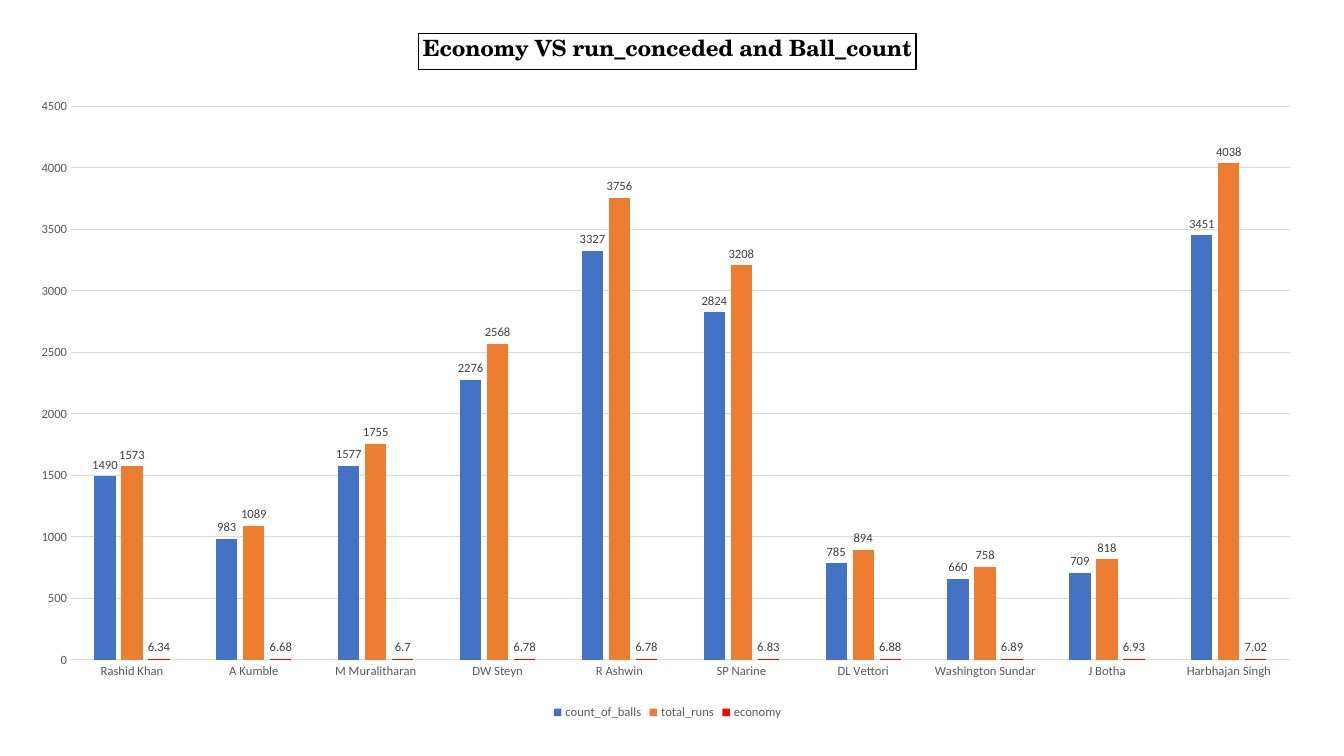
from lxml import etree
from pptx import Presentation
from pptx.chart.data import CategoryChartData
from pptx.dml.color import RGBColor
from pptx.enum.chart import XL_CHART_TYPE, XL_LABEL_POSITION, XL_LEGEND_POSITION, XL_TICK_MARK
from pptx.oxml.ns import qn
from pptx.util import Inches, Pt

COLUMN = XL_CHART_TYPE.COLUMN_CLUSTERED
ABOVE = XL_LABEL_POSITION.OUTSIDE_END
BOTTOM = XL_LEGEND_POSITION.BOTTOM
NO_TICK = XL_TICK_MARK.NONE

COLORS = {
    "count_of_balls": "4472C4",
    "total_runs": "ED7D31",
    "economy": "FF0000",
    "black": "000000",
    "label": "404040",
    "axis": "595959",
    "grid": "D9D9D9",
    "back": "FFFFFF",
}
BOWLERS = [
    "Rashid Khan", "A Kumble", "M Muralitharan", "DW Steyn", "R Ashwin",
    "SP Narine", "DL Vettori", "Washington Sundar", "J Botha", "Harbhajan Singh",
]
STATS = {
    "count_of_balls": [1490, 983, 1577, 2276, 3327, 2824, 785, 660, 709, 3451],
    "total_runs": [1573, 1089, 1755, 2568, 3756, 3208, 894, 758, 818, 4038],
    "economy": [6.34, 6.68, 6.7, 6.78, 6.78, 6.83, 6.88, 6.89, 6.93, 7.02],
}
PLOT = {"x": 0.04, "y": 0.13, "w": 0.94, "h": 0.78}


def rgb(name):
    return RGBColor.from_string(COLORS[name])


def assign(target, **values):
    for key, value in values.items():
        setattr(target, key, value)


def style_font(font, color, size=9, name="Calibri", bold=False):
    assign(font, size=Pt(size), name=name, bold=bold)
    font.color.rgb = rgb(color)


def style_line(line, color):
    line.color.rgb = rgb(color)
    line.width = Pt(0.75)


def add_stats(slide):
    data = CategoryChartData()
    data.categories = BOWLERS
    for name, values in STATS.items():
        data.add_series(name, values)
    frame = slide.shapes.add_chart(
        COLUMN, Inches(0.19), Inches(0.14), Inches(12.86), Inches(7.04), data)
    style_font(frame.chart.font, "black", 10)
    return frame.chart


def add_title(chart, text):
    title = chart.chart_title
    title.include_in_layout = False
    run = title.text_frame.paragraphs[0].add_run()
    run.text = text
    style_font(run.font, "black", 16, "Century Schoolbook", True)
    title.format.fill.solid()
    title.format.fill.fore_color.rgb = rgb("back")
    style_line(title.format.line, "black")


def style_bars(chart):
    plot = chart.plots[0]
    assign(plot, gap_width=219, overlap=-27, vary_by_categories=False)
    for bars in plot.series:
        bars.format.fill.solid()
        bars.format.fill.fore_color.rgb = rgb(bars.name)
        bars.invert_if_negative = False
        labels = bars.data_labels
        assign(labels, show_value=True, position=ABOVE,
               number_format="General", number_format_is_linked=False)
        style_font(labels.font, "label")


def style_axes(chart):
    for axis in (chart.category_axis, chart.value_axis):
        assign(axis, major_tick_mark=NO_TICK, minor_tick_mark=NO_TICK)
        style_font(axis.tick_labels.font, "axis")
    style_line(chart.category_axis.format.line, "grid")
    values = chart.value_axis
    assign(values, minimum_scale=0, maximum_scale=4500, major_unit=500,
           has_major_gridlines=True)
    values.format.line.fill.background()
    style_line(values.major_gridlines.format.line, "grid")


def add_legend(chart):
    chart.has_legend = True
    assign(chart.legend, position=BOTTOM, include_in_layout=False)
    style_font(chart.legend.font, "axis")


def place_plot(chart):
    area = chart.plots[0]._element.getparent()
    for old in area.findall(qn("c:layout")):
        area.remove(old)
    layout = etree.Element(qn("c:layout"))
    area.insert(0, layout)
    manual = etree.SubElement(layout, qn("c:manualLayout"))
    modes = {"layoutTarget": "inner", "xMode": "edge", "yMode": "edge"}
    for tag, value in (modes | PLOT).items():
        etree.SubElement(manual, qn("c:" + tag)).set("val", str(value))


def main():
    deck = Presentation()
    assign(deck, slide_width=Inches(13.33), slide_height=Inches(7.5))
    slide = deck.slides.add_slide(deck.slide_layouts[6])

    # Bowling figures
    chart = add_stats(slide)
    style_bars(chart)
    style_axes(chart)
    place_plot(chart)

    # Title and legend
    add_title(chart, "Economy VS run_conceded and Ball_count")
    add_legend(chart)

    deck.save("out.pptx")


main()
